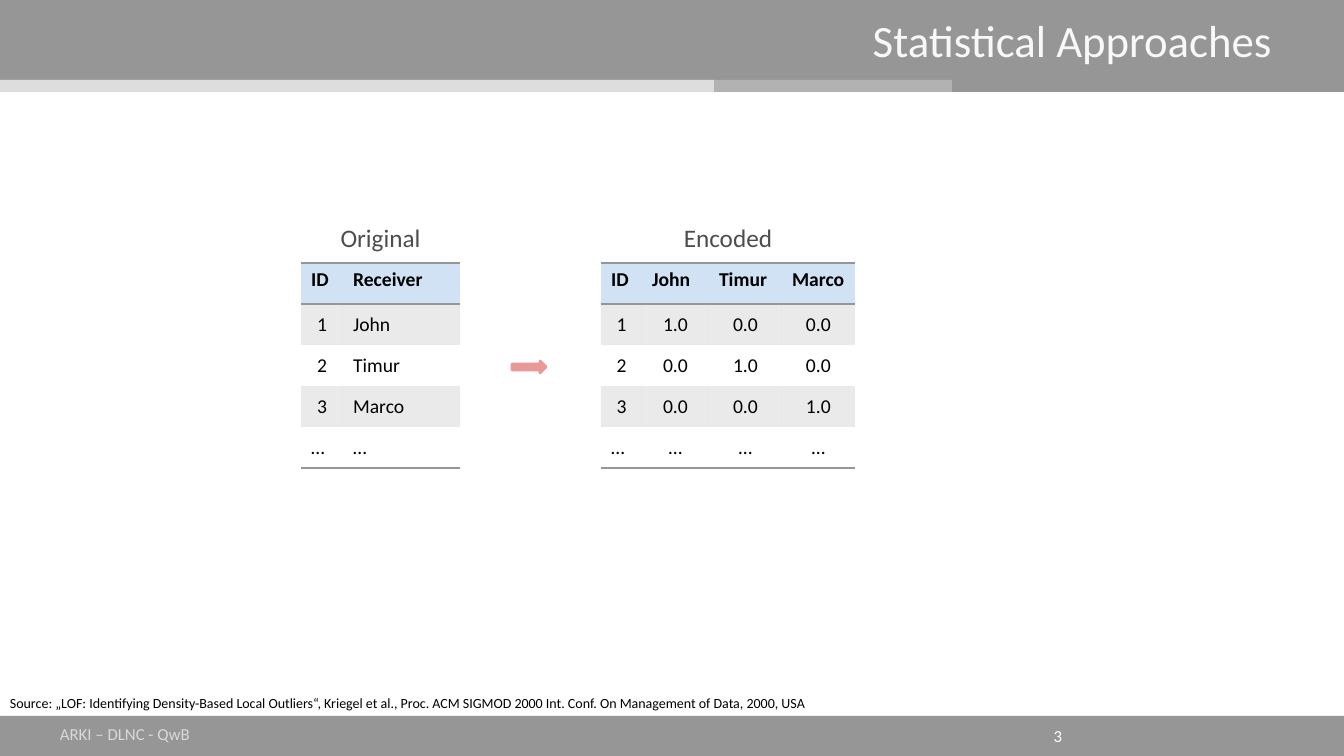
from lxml import etree
from pptx import Presentation
from pptx.dml.color import RGBColor
from pptx.enum.shapes import MSO_SHAPE
from pptx.enum.text import MSO_ANCHOR, PP_ALIGN
from pptx.oxml.ns import qn
from pptx.util import Pt

RECT, ARROW = MSO_SHAPE.RECTANGLE, MSO_SHAPE.RIGHT_ARROW
TOP, MIDDLE = MSO_ANCHOR.TOP, MSO_ANCHOR.MIDDLE
LEFT, CENTER, RIGHT = PP_ALIGN.LEFT, PP_ALIGN.CENTER, PP_ALIGN.RIGHT

EMU_PER_PX = 914400 / 100.8
SLIDE_W, SLIDE_H = 1344, 756
ROW_H = 41
PLAIN_TABLE_STYLE = "{2D5ABB26-0587-4C30-8999-92F81FD0307C}"
ELLIPSIS = "…"

COLORS = {
    "bar": "969696", "bar_mid": "B2B2B2", "bar_light": "DDDDDD",
    "title": "F8F8F8", "footer": "D9D9D9", "caption": "4D4D4D",
    "header": "D0E2F3", "arrow": "EA9999", "white": "FFFFFF", "black": "000000",
}

ORIGINAL = {
    "widths": [42, 117], "aligns": [CENTER, LEFT],
    "header": ["ID", "Receiver"],
    "body": [["1", "John"], ["2", "Timur"], ["3", "Marco"]],
}
ENCODED = {
    "widths": [41, 67, 73, 73], "aligns": [CENTER] * 4,
    "header": ["ID", "John", "Timur", "Marco"],
    "body": [["1", "1.0", "0.0", "0.0"],
             ["2", "0.0", "1.0", "0.0"],
             ["3", "0.0", "0.0", "1.0"]],
}


def px(length):
    return round(length * EMU_PER_PX)


def rgb(color):
    return RGBColor.from_string(COLORS[color])


def write(frame, text, size, color, align=LEFT, bold=False):
    paragraph = frame.paragraphs[0]
    paragraph.alignment = align
    run = paragraph.add_run()
    run.text = text
    for name, value in {"name": "Calibri", "size": Pt(size), "bold": bold}.items():
        setattr(run.font, name, value)
    run.font.color.rgb = rgb(color)


def add_label(slide, box, text, size, color, align=LEFT, anchor=MIDDLE, **margins):
    frame = slide.shapes.add_textbox(*map(px, box)).text_frame
    for name, value in {"word_wrap": True, "vertical_anchor": anchor, **margins}.items():
        setattr(frame, name, value)
    write(frame, text, size, color, align)


def add_block(slide, box, fill, line_width=0, preset=RECT):
    block = slide.shapes.add_shape(preset, *map(px, box))
    block.shadow.inherit = False
    block.fill.solid()
    block.fill.fore_color.rgb = rgb(fill)
    if line_width:
        block.line.color.rgb = rgb(fill)
        block.line.width = Pt(line_width)
    else:
        block.line.fill.background()
    return block


def add_header(slide, left, top, width, height):
    strip_h = 12
    strip_top = top + height - strip_h
    add_block(slide, (left, top, width, height), "bar")
    add_block(slide, (left, strip_top, 952, strip_h), "bar_mid")
    add_block(slide, (left, strip_top, 714, strip_h), "bar_light")
    no_margins = dict.fromkeys(
        ["margin_left", "margin_top", "margin_right", "margin_bottom"], 0)
    add_label(slide, (left + 70, top + 13, width - 142, 82),
              "Statistical Approaches", 32, "title", RIGHT, TOP, **no_margins)


def add_footer(slide, left, top, width, height):
    add_block(slide, (left, top, width, height), "bar")
    add_label(slide, (left + 50, top - 2, 320, height),
              "ARKI – DLNC - QwB", 12, "footer")
    add_label(slide, (left + 837, top, 235, height), "3", 12, "white", RIGHT)


def add_source(slide, left, top, width, height):
    add_label(slide, (left, top, width, height),
              "Source: „LOF: Identifying Density-Based Local Outliers“, Kriegel et al., "
              "Proc. ACM SIGMOD 2000 Int. Conf. On Management of Data, 2000, USA",
              10, "black", anchor=TOP)


def add_rule(cell, side, position):
    """Draw a thin grey border on one side of a cell."""
    line = etree.Element(qn(f"a:{side}"), w=str(Pt(1)))
    solid = etree.SubElement(line, qn("a:solidFill"))
    etree.SubElement(solid, qn("a:srgbClr"), val=COLORS["bar"])
    cell._tc.get_or_add_tcPr().insert(position, line)


def paint_cell(cell, color, alpha=None):
    cell.fill.solid()
    cell.fill.fore_color.rgb = rgb(color)
    if alpha:
        tone = cell._tc.tcPr.find(".//" + qn("a:srgbClr"))
        etree.SubElement(tone, qn("a:alpha"), val=str(alpha * 1000))


def add_data_table(slide, left, top, data):
    widths = data["widths"]
    rows = [data["header"], *data["body"], [ELLIPSIS] * len(widths)]
    last = len(rows) - 1
    box = (left, top, sum(widths), ROW_H * len(rows))
    table = slide.shapes.add_table(len(rows), len(widths), *map(px, box)).table
    table.first_row = table.horz_banding = False
    table._tbl.tblPr.find(qn("a:tableStyleId")).text = PLAIN_TABLE_STYLE
    for column, width in zip(table.columns, widths):
        column.width = px(width)
    for r, row in enumerate(rows):
        table.rows[r].height = px(ROW_H)
        for c, text in enumerate(row):
            cell = table.cell(r, c)
            is_header = r == 0
            cell.vertical_anchor = TOP if is_header else MIDDLE
            plain_left = is_header or (r == last and c == 0)
            align = LEFT if plain_left else data["aligns"][c]
            write(cell.text_frame, text, 14, "black", align, is_header)
            if is_header:
                paint_cell(cell, "header")
                add_rule(cell, "lnT", 0)
                add_rule(cell, "lnB", 1)
            elif r % 2:
                paint_cell(cell, "bar", alpha=20)
            else:
                cell.fill.background()
            if r == last:
                add_rule(cell, "lnB", 0)


def add_captioned_table(slide, left, top, caption, data):
    caption_h, table_offset = 18, 35
    add_data_table(slide, left, top + table_offset, data)
    heading = add_block(slide, (left, top, sum(data["widths"]), caption_h), "white", 0.75)
    heading.text_frame.word_wrap = True
    heading.text_frame.vertical_anchor = MIDDLE
    write(heading.text_frame, caption, 18, "caption", CENTER)


def main():
    deck = Presentation()
    deck.slide_width, deck.slide_height = px(SLIDE_W), px(SLIDE_H)
    slide = deck.slides.add_slide(deck.slide_layouts[6])
    add_footer(slide, 0, 716, SLIDE_W, 40)
    add_header(slide, 0, 0, SLIDE_W, 92)
    add_source(slide, 0, 690, 1072, 44)
    add_captioned_table(slide, 301, 228, "Original", ORIGINAL)
    add_captioned_table(slide, 601, 228, "Encoded", ENCODED)
    add_block(slide, (512, 361, 34, 12), "arrow", 2, ARROW)
    deck.save("out.pptx")


if __name__ == "__main__":
    main()
